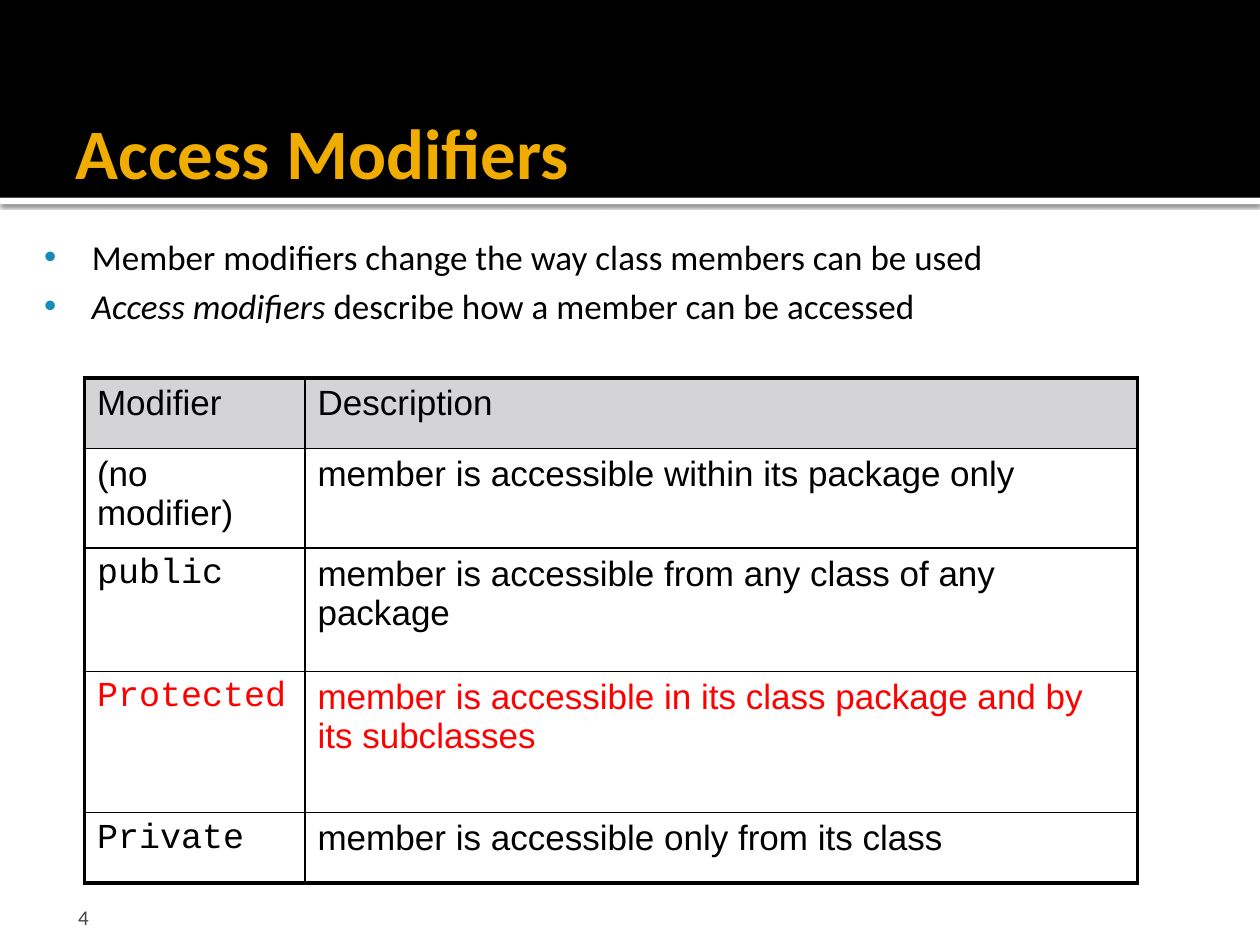
import pptx
import pptx.util
import pptx.dml.color
import pptx.enum.shapes
import pptx.enum.text
import pptx.oxml
import pptx.oxml.ns

THEME = {
    "black": "000000", "white": "FFFFFF", "title": "F0AD00", "header": "D4D4D6",
    "bullet": "168BBA", "highlight": "FF0000", "number": "454545",
    "title_size": 40.5, "text_size": 20, "number_size": 12,
    "text_font": "Calibri", "table_font": "Arial", "code_font": "Courier New",
    "thin": 1, "thick": 2.25,
}
TITLE = "Access Modifiers"
NUMBER = "4"
BULLETS = [
    [("Member modifiers change the way class members can be used", False)],
    [("Access modifiers", True), (" describe how a member can be accessed", False)],
]
ROWS = [
    ("Modifier", "Description"),
    ("(no modifier)", "member is accessible within its package only"),
    ("public", "member is accessible from any class of any package"),
    ("Protected", "member is accessible in its class package and by its subclasses"),
    ("Private", "member is accessible only from its class"),
]
CODE_WORDS = {"public", "Protected", "Private"}
HIGHLIGHT_ROW = 3
COLUMN_WIDTHS = [1.75, 6.61]
ROW_HEIGHTS = [0.56, 0.79, 0.98, 1.12, 0.56]
BAND_HEIGHT = 1.57

Inches, Pt = pptx.util.Inches, pptx.util.Pt


def colour(name):
    return pptx.dml.color.RGBColor.from_string(THEME[name])


def element(xml):
    return pptx.oxml.parse_xml(xml.replace(">", " " + pptx.oxml.ns.nsdecls("a") + ">", 1))


def set_font(paragraph, face, size, tint, bold=False):
    font = paragraph.font
    font.name, font.size, font.bold = THEME[face], Pt(THEME[size]), bold
    font.color.rgb = colour(tint)


def place(shape, left, top, width, height):
    shape.left, shape.top = Inches(left), Inches(top)
    shape.width, shape.height = Inches(width), Inches(height)


def add_band(slide, top, height, tint):
    band = slide.shapes.add_shape(pptx.enum.shapes.MSO_SHAPE.RECTANGLE, 0, Inches(top),
                                  Inches(10), Inches(height))
    band.shadow.inherit = False
    band.fill.solid()
    band.fill.fore_color.rgb = colour(tint)
    band.line.fill.background()
    return band


def add_bands(slide):
    rule = add_band(slide, BAND_HEIGHT, 0.05, "white")
    effects = rule._element.spPr.find(pptx.oxml.ns.qn("a:effectLst"))
    effects.append(element(
        f'<a:outerShdw blurRad="{Pt(2.5)}" dist="{Pt(0.8)}" dir="5400000" algn="tl">'
        f'<a:srgbClr val="{THEME["black"]}"><a:alpha val="60000"/></a:srgbClr></a:outerShdw>'))
    band = add_band(slide, 0, BAND_HEIGHT, "black")
    for position, shape in enumerate((rule, band)):
        slide.shapes._spTree.insert(2 + position, shape._element)


def fill_title(title):
    place(title, 0.5, 0.17, 9, 1.37)
    frame = title.text_frame
    frame.text = TITLE
    frame.auto_size = pptx.enum.text.MSO_AUTO_SIZE.NONE
    frame.vertical_anchor = pptx.enum.text.MSO_ANCHOR.BOTTOM
    frame.margin_bottom = 0
    frame.paragraphs[0].alignment = pptx.enum.text.PP_ALIGN.LEFT
    set_font(frame.paragraphs[0], "text_font", "title_size", "title", True)


def fill_body(body):
    place(body, 0.25, 1.82, 9.25, 0.85)
    frame = body.text_frame
    frame.auto_size = pptx.enum.text.MSO_AUTO_SIZE.NONE
    for index, runs in enumerate(BULLETS):
        paragraph = frame.add_paragraph() if index else frame.paragraphs[0]
        paragraph.space_before = Pt(4)
        properties = paragraph._p.get_or_add_pPr()
        properties.set("marL", str(Inches(0.38)))
        properties.set("indent", str(-Inches(0.38)))
        properties.append(element(
            f'<a:buClr><a:srgbClr val="{THEME["bullet"]}"/></a:buClr>'))
        properties.append(element('<a:buFont typeface="Arial"></a:buFont>'))
        properties.append(element('<a:buChar char="•"></a:buChar>'))
        set_font(paragraph, "text_font", "text_size", "black")
        for text, italic in runs:
            run = paragraph.add_run()
            run.text, run.font.italic = text, italic


def set_borders(cell, outer_sides):
    properties = cell._tc.get_or_add_tcPr()
    for side, is_outer in zip("LRTB", outer_sides):
        width = Pt(THEME["thick" if is_outer else "thin"])
        properties.append(element(
            f'<a:ln{side} w="{width}"><a:solidFill><a:srgbClr val="{THEME["black"]}"/>'
            f'</a:solidFill></a:ln{side}>'))


def add_modifier_table(slide):
    table = slide.shapes.add_table(
        len(ROWS), len(COLUMN_WIDTHS), Inches(0.67), Inches(3),
        Inches(sum(COLUMN_WIDTHS)), Inches(sum(ROW_HEIGHTS))).table
    table.first_row = table.horz_banding = False
    for column, width in zip(table.columns, COLUMN_WIDTHS):
        column.width = Inches(width)
    for row, height in zip(table.rows, ROW_HEIGHTS):
        row.height = Inches(height)
    for r, texts in enumerate(ROWS):
        for c, text in enumerate(texts):
            cell = table.cell(r, c)
            cell.text = text
            set_borders(cell, (c == 0, c == len(texts) - 1, r == 0, r == len(ROWS) - 1))
            if r == 0:
                cell.fill.solid()
                cell.fill.fore_color.rgb = colour("header")
            else:
                cell.fill.background()
            set_font(cell.text_frame.paragraphs[0],
                     "code_font" if text in CODE_WORDS else "table_font", "text_size",
                     "highlight" if r == HIGHLIGHT_ROW else "black")


def add_number(slide):
    frame = slide.shapes.add_textbox(Inches(0.5), Inches(7.08), Inches(2.33),
                                     Inches(0.3)).text_frame
    frame.word_wrap = True
    frame.vertical_anchor = pptx.enum.text.MSO_ANCHOR.BOTTOM
    frame.margin_left, frame.margin_right = Inches(0.12), Inches(0.05)
    frame.margin_bottom = 0
    frame.text = NUMBER
    set_font(frame.paragraphs[0], "text_font", "number_size", "number")


def main():
    presentation = pptx.Presentation()
    presentation.slide_width, presentation.slide_height = Inches(10), Inches(7.5)
    slide = presentation.slides.add_slide(presentation.slide_layouts[1])
    add_bands(slide)
    fill_title(slide.shapes.title)
    fill_body(slide.placeholders[1])
    add_modifier_table(slide)
    add_number(slide)
    presentation.save("out.pptx")


if __name__ == "__main__":
    main()
